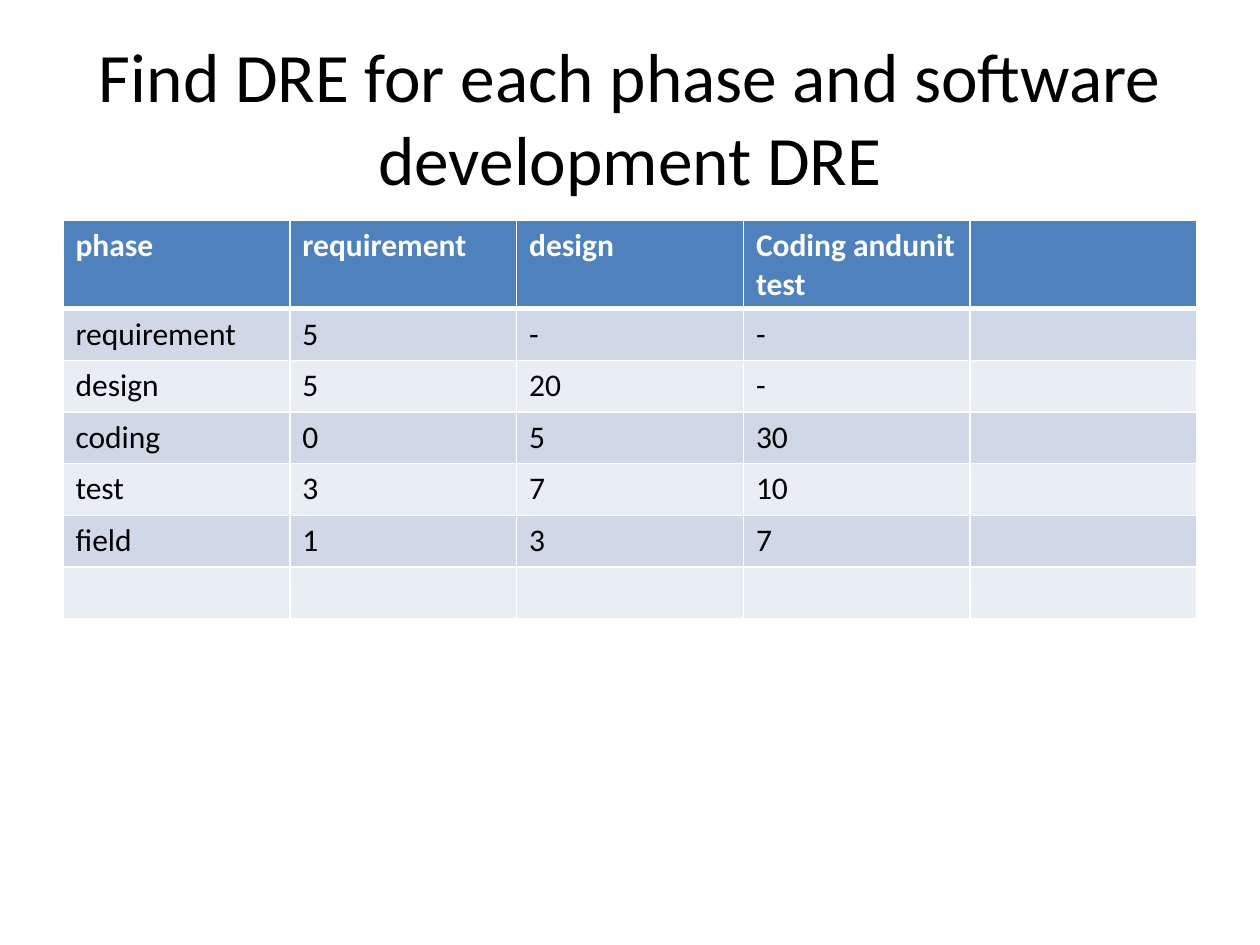
from lxml.etree import SubElement
from pptx import Presentation
from pptx.dml.color import RGBColor
from pptx.enum.text import MSO_ANCHOR, PP_ALIGN
from pptx.oxml.ns import qn
from pptx.util import Inches, Pt


def color(hex_string):
    return RGBColor.from_string(hex_string)


class SlideBuilder:
    FONT = "Calibri"
    TEXT, LIGHT = "000000", "FFFFFF"
    HEADER, BANDS = "4F81BD", ("D0D8E8", "E9EDF4")

    def __init__(self, slide):
        self.slide = slide

    def style(self, paragraph, size, hex_string, bold=False):
        font = paragraph.font
        font.name, font.size, font.bold = self.FONT, Pt(size), bold
        font.color.rgb = color(hex_string)

    def title(self, text, left, top, width, height):
        shape = self.slide.shapes.add_textbox(
            Inches(left), Inches(top), Inches(width), Inches(height))
        frame = shape.text_frame
        frame.word_wrap = True
        frame.vertical_anchor = MSO_ANCHOR.MIDDLE
        paragraph = frame.paragraphs[0]
        paragraph.text = text
        paragraph.alignment = PP_ALIGN.CENTER
        self.style(paragraph, 39.6, self.TEXT)

    def borders(self, cell, top, bottom):
        properties = cell._tc.get_or_add_tcPr()
        for side, points in (("L", 1), ("R", 1), ("T", top), ("B", bottom)):
            line = SubElement(properties, qn(f"a:ln{side}"), w=str(Pt(points)))
            fill = SubElement(line, qn("a:solidFill"))
            SubElement(fill, qn("a:srgbClr"), val=self.LIGHT)

    def table(self, rows, left, top, width, heights):
        shape = self.slide.shapes.add_table(
            len(rows), len(rows[0]), Inches(left), Inches(top),
            Inches(width), Inches(sum(heights)))
        table = shape.table
        for row, height in zip(table.rows, heights):
            row.height = Inches(height)
        for i, values in enumerate(rows):
            header = i == 0
            background = self.HEADER if header else self.BANDS[(i - 1) % 2]
            for j, value in enumerate(values):
                cell = table.cell(i, j)
                # The rule under the header is shared by rows 0 and 1
                self.borders(cell, 3 if i == 1 else 1, 3 if header else 1)
                cell.fill.solid()
                cell.fill.fore_color.rgb = color(background)
                paragraph = cell.text_frame.paragraphs[0]
                if value:
                    paragraph.text = value
                self.style(paragraph, 18,
                           self.LIGHT if header else self.TEXT, header)


def main():
    presentation = Presentation()
    presentation.slide_width, presentation.slide_height = Inches(10), Inches(7.5)
    builder = SlideBuilder(
        presentation.slides.add_slide(presentation.slide_layouts[6]))

    # Title
    builder.title("Find DRE for each phase and software development DRE",
                  0.5, 0.3, 9, 1.25)

    # Defects by phase found (rows) and phase introduced (columns)
    defects = [
        ("phase", "requirement", "design", "Coding andunit test", ""),
        ("requirement", "5", "-", "-", ""),
        ("design", "5", "20", "-", ""),
        ("coding", "0", "5", "30", ""),
        ("test", "3", "7", "10", ""),
        ("field", "1", "3", "7", ""),
        ("",) * 5,
    ]
    builder.table(defects, 0.5, 1.75, 9, [0.7] + [0.41] * 6)

    presentation.save("out.pptx")


if __name__ == "__main__":
    main()
